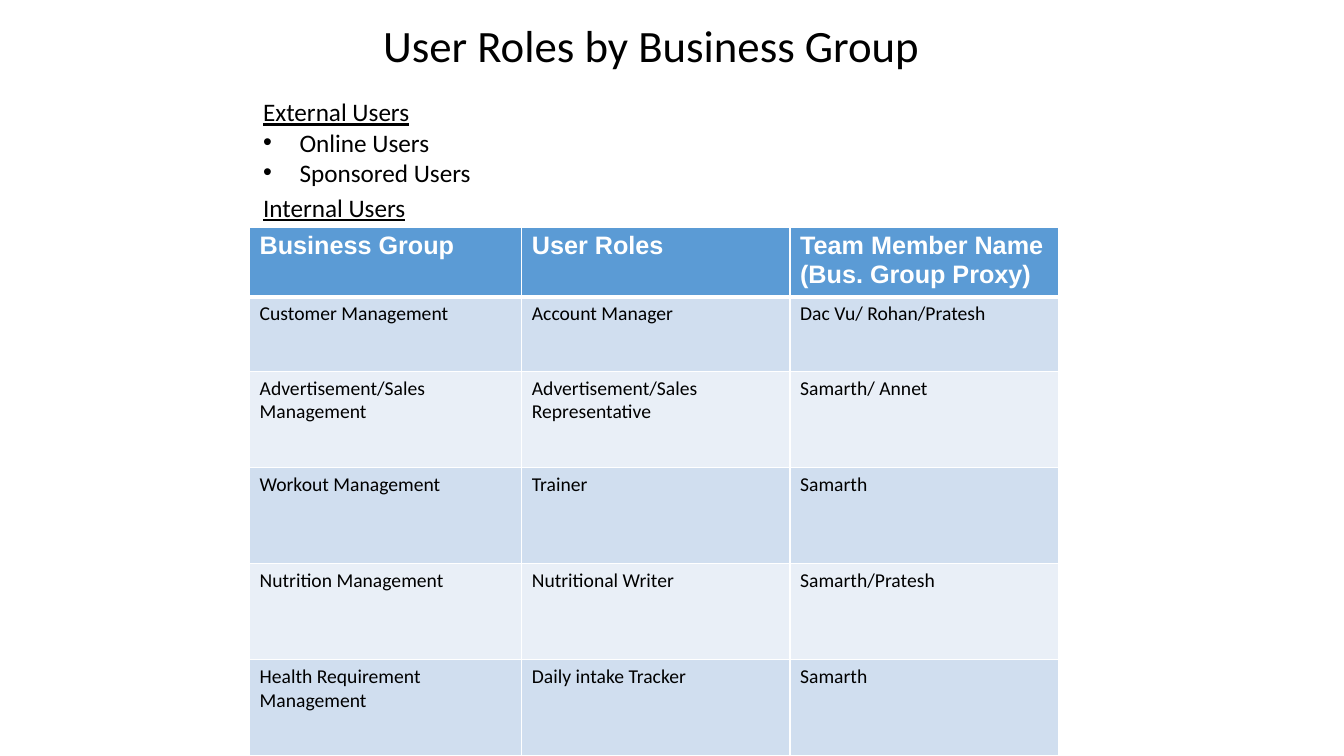
import pptx
import pptx.dml.color
import pptx.enum.text
import pptx.oxml
import pptx.oxml.ns
import pptx.util

Cm = pptx.util.Cm
Pt = pptx.util.Pt

COLOURS = {
    "text": "000000",
    "white": "FFFFFF",
    "header": "5B9BD5",
    "odd_row": "D0DEEF",
    "even_row": "E9EFF7",
}
ROLE_ROWS = [
    ["Business Group", "User Roles", "Team Member Name\n(Bus. Group Proxy)"],
    ["Customer Management", "Account Manager", "Dac Vu/ Rohan/Pratesh"],
    ["Advertisement/Sales Management", "Advertisement/Sales Representative", "Samarth/ Annet"],
    ["Workout Management", "Trainer", "Samarth"],
    ["Nutrition Management", "Nutritional Writer", "Samarth/Pratesh"],
    ["Health Requirement Management", "Daily intake Tracker", "Samarth"],
]
COLUMN_WIDTHS = [6.86, 6.76, 6.76]
ROW_HEIGHTS = [1.76, 1.88] + [2.42] * 4


def colour(name):
    """Return the named colour as an RGB value."""
    return pptx.dml.color.RGBColor.from_string(COLOURS[name])


def format_runs(paragraph, size, font="Calibri", ink="text", bold=False, underline=False):
    """Format every run of a paragraph."""
    for run in paragraph.runs:
        run.font.name = font
        run.font.size = Pt(size)
        run.font.bold = bold
        run.font.underline = underline
        run.font.color.rgb = colour(ink)


def place(shape, box):
    """Move a shape to a box of left, top, width and height in centimetres."""
    shape.left, shape.top, shape.width, shape.height = map(Cm, box)


def add_title(slide, box):
    """Fill the title placeholder."""
    title = slide.shapes.title
    place(title, box)
    text_frame = title.text_frame
    text_frame.text = "User Roles by Business Group"
    text_frame.vertical_anchor = pptx.enum.text.MSO_ANCHOR.TOP
    text_frame.paragraphs[0].alignment = pptx.enum.text.PP_ALIGN.LEFT
    format_runs(text_frame.paragraphs[0], 32)


def add_bullet(paragraph, indent):
    """Give a paragraph a round bullet with a hanging indent."""
    properties = paragraph._p.get_or_add_pPr()
    properties.set("marL", str(Cm(indent)))
    properties.set("indent", str(-Cm(indent)))
    namespace = pptx.oxml.ns.nsdecls("a")
    properties.append(pptx.oxml.parse_xml(f'<a:buFont {namespace} typeface="Arial"/>'))
    properties.append(pptx.oxml.parse_xml(f'<a:buChar {namespace} char="•"/>'))


def add_user_group(slide, box, heading, users=()):
    """Add an underlined heading with a bulleted list of users."""
    text_box = slide.shapes.add_textbox(*map(Cm, box))
    text_frame = text_box.text_frame
    text_frame.word_wrap = True
    text_frame.text = "\n".join([heading, *users])
    for index, paragraph in enumerate(text_frame.paragraphs):
        format_runs(paragraph, 18, underline=index == 0)
        if index:
            add_bullet(paragraph, 0.92)


def add_borders(cell, bottom_width):
    """Draw white borders around a cell."""
    properties = cell._tc.get_or_add_tcPr()
    for side, width in {"L": 1, "R": 1, "T": 1, "B": bottom_width}.items():
        properties.append(pptx.oxml.parse_xml(
            f'<a:ln{side} {pptx.oxml.ns.nsdecls("a")} w="{Pt(width)}"><a:solidFill>'
            f'<a:srgbClr val="{COLOURS["white"]}"/></a:solidFill></a:ln{side}>'))


def format_cell(cell, row_index):
    """Format a cell as header or as part of a banded row."""
    is_header = row_index == 0
    add_borders(cell, 3 if row_index == 0 else 1)
    cell.fill.solid()
    band = "odd_row" if row_index % 2 else "even_row"
    cell.fill.fore_color.rgb = colour("header" if is_header else band)
    for paragraph in cell.text_frame.paragraphs:
        if is_header:
            format_runs(paragraph, 18, font="Arial", ink="white", bold=True)
        else:
            format_runs(paragraph, 14)


def add_role_table(slide, left, top):
    """Add the table of internal user roles."""
    frame = slide.shapes.add_table(
        len(ROLE_ROWS), len(COLUMN_WIDTHS), Cm(left), Cm(top),
        Cm(sum(COLUMN_WIDTHS)), Cm(sum(ROW_HEIGHTS)))
    table = frame.table
    for column, width in zip(table.columns, COLUMN_WIDTHS):
        column.width = Cm(width)
    for row_index, (row, height) in enumerate(zip(table.rows, ROW_HEIGHTS)):
        row.height = Cm(height)
        for cell, text in zip(row.cells, ROLE_ROWS[row_index]):
            cell.text_frame.text = text
            format_cell(cell, row_index)


def build_roles_slide(presentation):
    """Build the slide of user roles by business group."""
    slide = presentation.slides.add_slide(presentation.slide_layouts[5])
    add_title(slide, (9.4, 0.33, 14.15, 1.7))
    add_role_table(slide, 6.29, 5.72)
    add_user_group(slide, (6.38, 2.31, 7.42, 2.41), "External Users",
                   ["Online Users", "Sponsored Users"])
    add_user_group(slide, (6.38, 4.72, 4.14, 1.27), "Internal Users")


presentation = pptx.Presentation()
presentation.slide_width = Cm(33.87)
presentation.slide_height = Cm(19.05)
build_roles_slide(presentation)
presentation.save("out.pptx")
